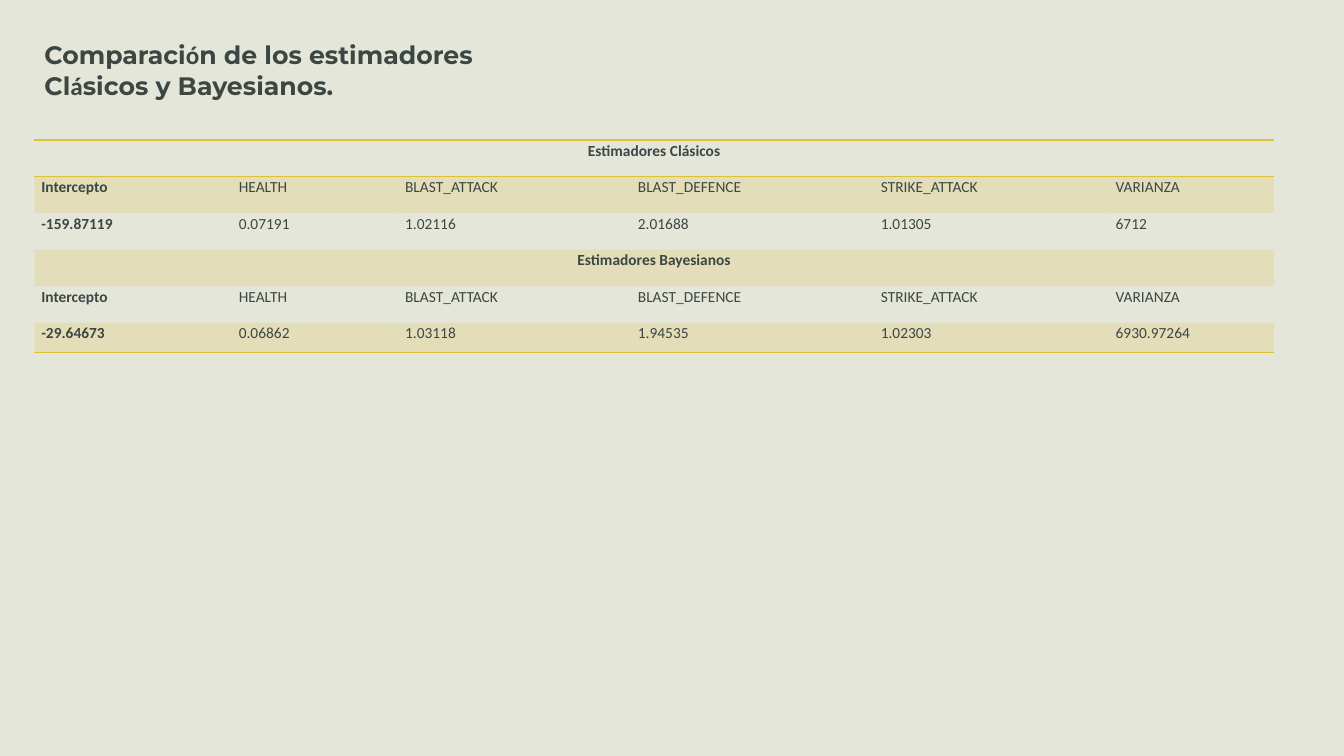
from lxml import etree
from pptx import Presentation
from pptx.dml.color import RGBColor
from pptx.enum.text import MSO_ANCHOR, MSO_AUTO_SIZE, PP_ALIGN
from pptx.oxml.ns import qn
from pptx.util import Pt

LEFT, CENTER, JUSTIFY = PP_ALIGN.LEFT, PP_ALIGN.CENTER, PP_ALIGN.JUSTIFY
MIDDLE = MSO_ANCHOR.MIDDLE
NO_AUTOFIT = MSO_AUTO_SIZE.NONE

# Content
HEADING, ACCENT = "Montserrat", "Calibri"
TITLE = [
    ("Comparaci", HEADING), ("ó", ACCENT),
    ("n de los estimadores Cl", HEADING), ("á", ACCENT),
    ("sicos y Bayesianos.", HEADING),
]
PARAMETERS = ["Intercepto", "HEALTH", "BLAST_ATTACK", "BLAST_DEFENCE",
              "STRIKE_ATTACK", "VARIANZA"]
ESTIMATES = {
    "Estimadores Clásicos":
        ["-159.87119", "0.07191", "1.02116", "2.01688", "1.01305", "6712"],
    "Estimadores Bayesianos":
        ["-29.64673", "0.06862", "1.03118", "1.94535", "1.02303", "6930.97264"],
}
COLORS = {"background": "E5E6DA", "text": "3C4743", "gold": "DDC237"}

# Layout in points
SLIDE_SIZE = (960, 540)
TITLE_BOX = (24.5, 5, 396.7, 81.4)
TABLE_ORIGIN = (24.5, 100)
COLUMN_WIDTHS = [141.1, 118.8, 166.3, 173.5, 167.8, 118.1]
ROW_HEIGHTS = [26.1] * 5 + [21.6]
NO_STYLE = "{2D5ABB26-0587-4C30-8999-92F81FD0307C}"


def write_text(text_frame, runs, size, bold, align, line_spacing=1.0, space_after=0):
    paragraph = text_frame.paragraphs[0]
    paragraph.alignment = align
    paragraph.line_spacing = line_spacing
    paragraph.space_after = Pt(space_after)
    for text, font_name in runs:
        run = paragraph.add_run()
        run.text = text
        run.font.name = font_name
        run.font.size = Pt(size)
        run.font.bold = bold
        run.font.color.rgb = RGBColor.from_string(COLORS["text"])


def fill_cell(cell, banded):
    if not banded:
        cell.fill.background()
        return
    cell.fill.solid()
    cell.fill.fore_color.rgb = RGBColor.from_string(COLORS["gold"])
    color = cell._tc.tcPr.find(".//" + qn("a:srgbClr"))
    etree.SubElement(color, qn("a:alpha"), val="20000")


def add_borders(cell, sides):
    for index, side in enumerate(sides):
        line = etree.Element(qn("a:ln" + side), w=str(Pt(1)))
        solid = etree.SubElement(line, qn("a:solidFill"))
        etree.SubElement(solid, qn("a:srgbClr"), val=COLORS["gold"])
        cell._tc.get_or_add_tcPr().insert(index, line)


presentation = Presentation()
presentation.slide_width, presentation.slide_height = map(Pt, SLIDE_SIZE)
slide = presentation.slides.add_slide(presentation.slide_layouts[5])
slide.background.fill.solid()
slide.background.fill.fore_color.rgb = RGBColor.from_string(COLORS["background"])

# Title
title = slide.shapes.title
title.left, title.top, title.width, title.height = map(Pt, TITLE_BOX)
frame = title.text_frame
frame.word_wrap = True
frame.auto_size = NO_AUTOFIT
frame.vertical_anchor = MIDDLE
frame.margin_left = frame.margin_right = Pt(7.2)
frame.margin_top, frame.margin_bottom = Pt(12.2), Pt(3.6)
write_text(frame, TITLE, size=18, bold=True, align=LEFT)

# Table of estimates: each group has a heading, the parameters and their values
rows = []
for heading, values in ESTIMATES.items():
    rows += [[heading], PARAMETERS, values]

shape = slide.shapes.add_table(
    len(rows), len(PARAMETERS), *map(Pt, TABLE_ORIGIN),
    Pt(sum(COLUMN_WIDTHS)), Pt(sum(ROW_HEIGHTS)))
table = shape.table
table._tbl.tblPr.find(qn("a:tableStyleId")).text = NO_STYLE
table.horz_banding = False
for column, width in zip(table.columns, COLUMN_WIDTHS):
    column.width = Pt(width)
for row, height in zip(table.rows, ROW_HEIGHTS):
    row.height = Pt(height)

row_borders = {0: ["T", "B"], len(rows) - 1: ["B"]}
for row_index, texts in enumerate(rows):
    is_heading = len(texts) == 1
    if is_heading:
        table.cell(row_index, 0).merge(table.cell(row_index, len(PARAMETERS) - 1))
    for column_index in range(len(PARAMETERS)):
        cell = table.cell(row_index, column_index)
        cell.margin_left = cell.margin_right = Pt(5)
        cell.margin_top = cell.margin_bottom = 0
        fill_cell(cell, banded=row_index % 2 == 1)
        add_borders(cell, row_borders.get(row_index, []))
        if column_index < len(texts):
            write_text(cell.text_frame, [(texts[column_index], "Calibri")],
                       size=11, bold=column_index == 0,
                       align=CENTER if is_heading else JUSTIFY,
                       line_spacing=1.07, space_after=8)

presentation.save("out.pptx")
